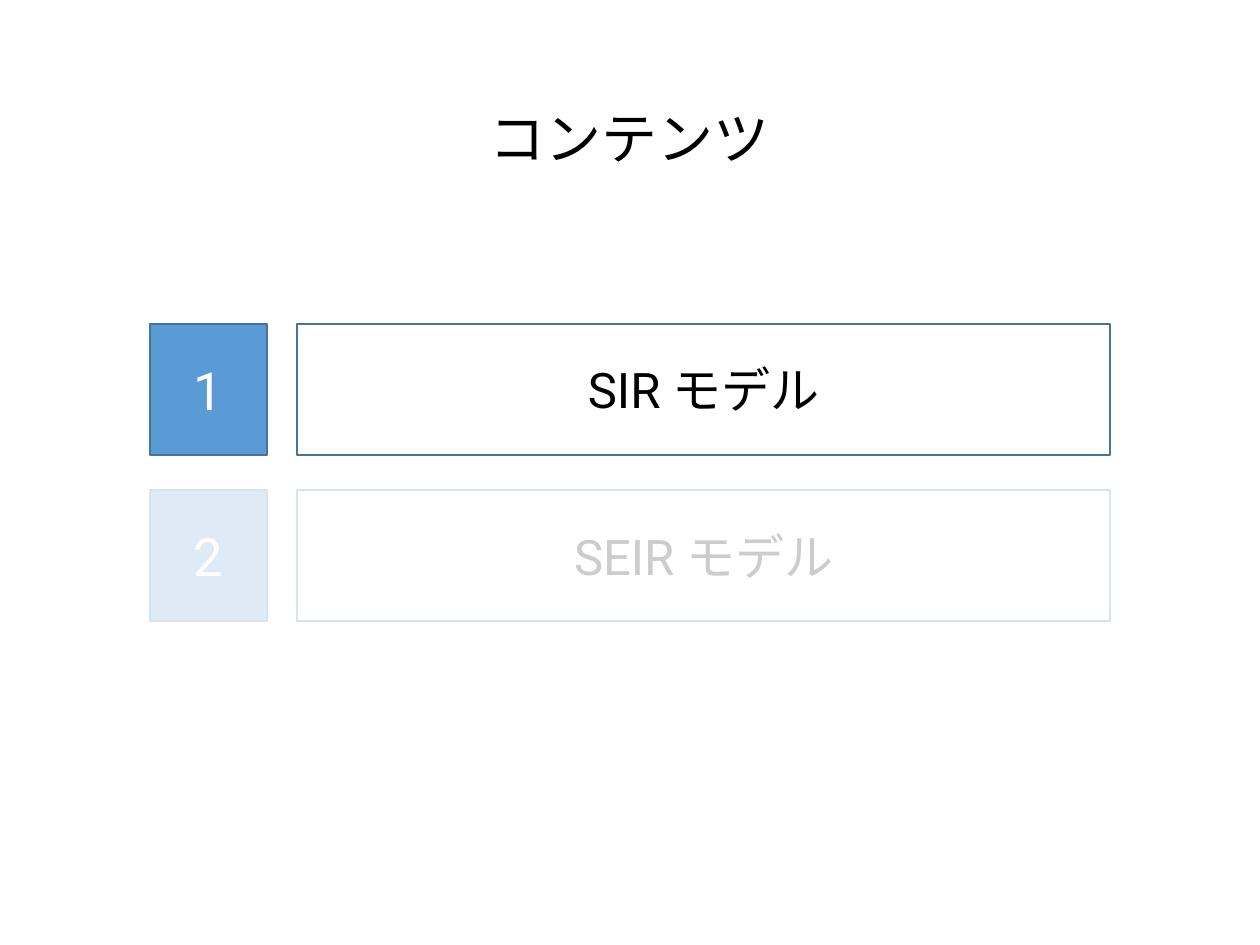
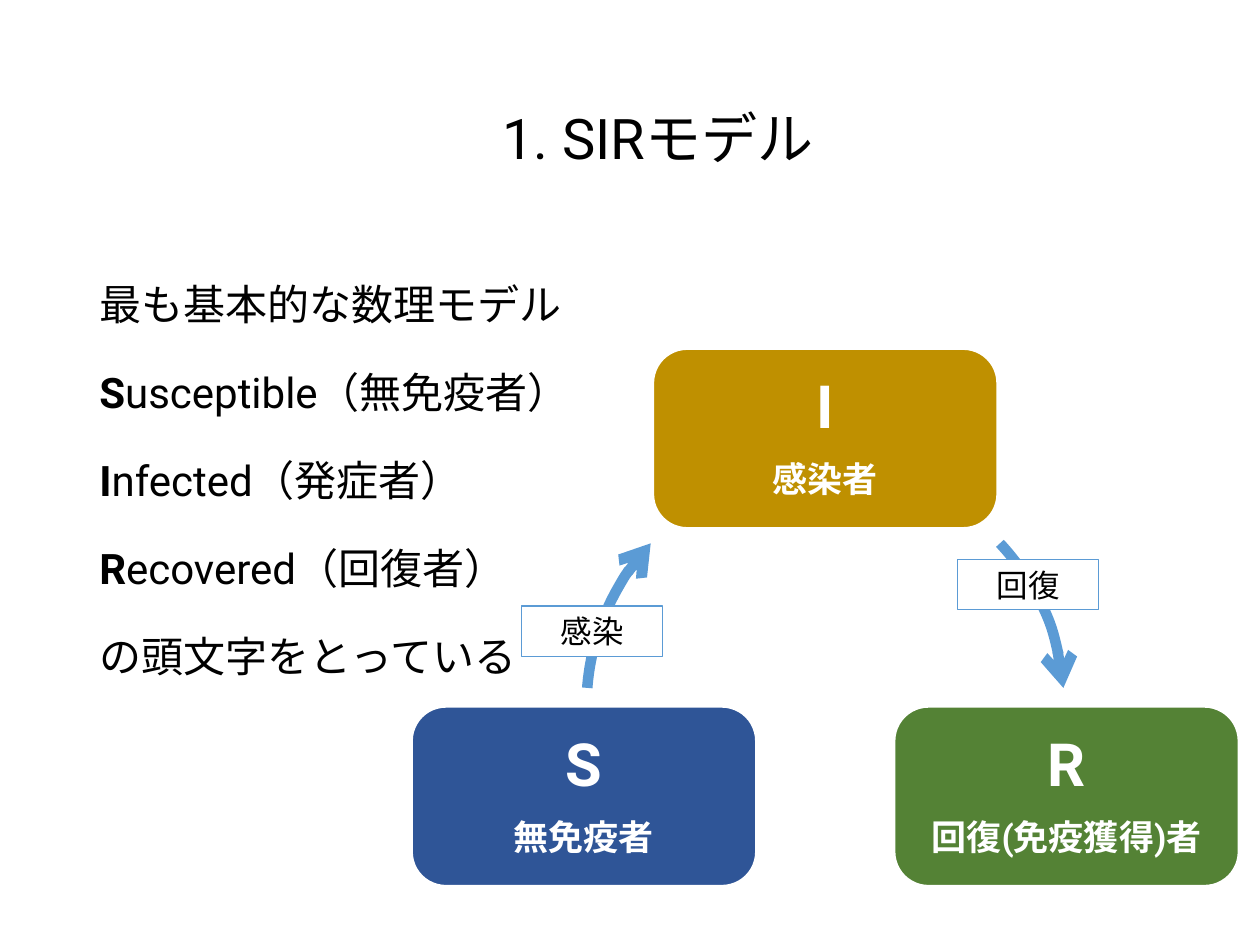
from pptx import Presentation
from pptx.dml.color import RGBColor
from pptx.enum.lang import MSO_LANGUAGE_ID
from pptx.enum.shapes import MSO_SHAPE
from pptx.enum.text import MSO_ANCHOR, PP_ALIGN
from pptx.oxml.ns import qn
from pptx.util import Inches, Pt
from lxml import etree

RECTANGLE, ROUNDED, ARC = MSO_SHAPE.RECTANGLE, MSO_SHAPE.ROUNDED_RECTANGLE, MSO_SHAPE.ARC
MIDDLE, TOP = MSO_ANCHOR.MIDDLE, MSO_ANCHOR.TOP
CENTER, LEFT = PP_ALIGN.CENTER, PP_ALIGN.LEFT
JAPANESE = MSO_LANGUAGE_ID.JAPANESE

FONT = "Roboto"
BLACK, WHITE = "000000", "FFFFFF"
BLUE, BLUE_EDGE = "5B9BD5", "43739E"
NAVY, GOLD, GREEN = "2F5597", "BF9000", "548235"
TITLE_BOX = (0.69, 0.4, 8.62, 1.45)
TITLE_ONLY = 5


def color(hex_string):
    return RGBColor.from_string(hex_string)


def inches(box):
    return [Inches(value) for value in box]


def write(paragraph, text, size=18, font_color=BLACK, bold=False, align=CENTER,
          line_spacing=None, before=None, after=None):
    """Append a run to the paragraph and set the paragraph's format."""
    paragraph.alignment = align
    paragraph.line_spacing = line_spacing
    paragraph.space_before = None if before is None else Pt(before)
    paragraph.space_after = None if after is None else Pt(after)
    run = paragraph.add_run()
    run.text = text
    run.font.name = FONT
    run.font.size = Pt(size)
    run.font.bold = bold
    run.font.color.rgb = color(font_color)
    run.font.language_id = JAPANESE
    east_asian = etree.Element(qn("a:ea"), typeface=FONT)
    run.font._element.find(qn("a:latin")).addnext(east_asian)


def add_shape(slide, kind, box, fill=None, line=BLUE_EDGE, width=1):
    shape = slide.shapes.add_shape(kind, *inches(box))
    shape.shadow.inherit = False
    if fill:
        shape.fill.solid()
        shape.fill.fore_color.rgb = color(fill)
    else:
        shape.fill.background()
    shape.line.color.rgb = color(line)
    shape.line.width = Pt(width)
    shape.text_frame.vertical_anchor = MIDDLE
    return shape


def add_titled_slide(presentation, title):
    slide = presentation.slides.add_slide(presentation.slide_layouts[TITLE_ONLY])
    placeholder = slide.shapes.title
    placeholder.left, placeholder.top, placeholder.width, placeholder.height = inches(TITLE_BOX)
    placeholder.text_frame.vertical_anchor = MIDDLE
    write(placeholder.text_frame.paragraphs[0], title, size=32, line_spacing=0.9)
    return slide


# Contents slide
def add_contents_row(slide, box, number, text):
    left, top, width, height = box
    number_width, gap = 0.93, 0.24
    offset = number_width + gap
    number_box = add_shape(slide, RECTANGLE, (left, top, number_width, height), BLUE)
    write(number_box.text_frame.paragraphs[0], number, size=30, font_color=WHITE)
    label = add_shape(slide, RECTANGLE, (left + offset, top, width - offset, height))
    write(label.text_frame.paragraphs[0], text, size=28)


def add_veil(slide, box, opacity):
    """Fade whatever lies under the box."""
    veil = add_shape(slide, RECTANGLE, box, WHITE, WHITE)
    fill_color = veil.fill._xPr.find(qn("a:solidFill"))[0]
    etree.SubElement(fill_color, qn("a:alpha"), val=str(opacity * 1000))


def build_contents(presentation):
    slide = add_titled_slide(presentation, "コンテンツ")
    for index, text in enumerate(["SIR モデル", "SEIR モデル"]):
        add_contents_row(slide, (1.19, 2.57 + 1.32 * index, 7.62, 1.04), str(index + 1), text)
    add_veil(slide, (1.01, 3.74, 8.03, 1.45), 80)


# Model slide
def add_description(slide, box):
    lines = [("", "最も基本的な数理モデル"), ("S", "usceptible（無免疫者）"),
             ("I", "nfected（発症者）"), ("R", "ecovered（回復者）"),
             ("", "の頭文字をとっている")]
    text_frame = slide.shapes.add_textbox(*inches(box)).text_frame
    text_frame.word_wrap = True
    text_frame.vertical_anchor = TOP
    for index, (initial, rest) in enumerate(lines):
        paragraph = text_frame.add_paragraph() if index else text_frame.paragraphs[0]
        for text, bold in ((initial, True), (rest, False)):
            if text:
                write(paragraph, text, size=24, bold=bold, align=LEFT,
                      line_spacing=1.4, before=10)


def add_state(slide, box, fill, letter, name):
    state = add_shape(slide, ROUNDED, box, fill, WHITE)
    state.adjustments[0] = 0.19
    text_frame = state.text_frame
    text_frame.margin_left = text_frame.margin_right = Inches(0.21)
    text_frame.margin_top = text_frame.margin_bottom = Inches(0.21)
    for paragraph, text, size in ((text_frame.paragraphs[0], letter, 34),
                                  (text_frame.add_paragraph(), name, 20)):
        write(paragraph, text, size=size, font_color=WHITE, bold=True,
              line_spacing=0.9, after=round(size * 0.35))


def add_arc_arrow(slide, box, start, end):
    """Draw a clockwise arrow on the circle in the box, angles in degrees."""
    arc = add_shape(slide, ARC, box, line=BLUE, width=6)
    for index, angle in enumerate((start, end)):
        arc.adjustments[index] = angle * 0.6  # 60000ths of a degree over 100000
    line = arc.line._get_or_add_ln()
    etree.SubElement(line, qn("a:tailEnd"), type="arrow")


def add_transition_label(slide, box, text):
    label = add_shape(slide, RECTANGLE, box, WHITE, BLUE, 0.75)
    write(label.text_frame.paragraphs[0], text)


def add_cycle(slide, box):
    left, top, width, height = box
    state_width, state_height = 2.73, 1.42
    right = left + width - state_width
    bottom = top + height - state_height
    middle = (left + right) / 2
    diameter = 3.79
    circle = (left + (width - diameter) / 2, 3.71, diameter, diameter)
    states = [(middle, top, GOLD, "I", "感染者"),
              (right, bottom, GREEN, "R", "回復(免疫獲得)者"),
              (left, bottom, NAVY, "S", "無免疫者")]
    for state_left, state_top, fill, letter, name in states:
        add_state(slide, (state_left, state_top, state_width, state_height), fill, letter, name)
    for start, end in ((317, 355.6), (184.4, 223)):
        add_arc_arrow(slide, circle, start, end)
    for label_left, label_top, text in ((4.14, 4.81, "感染"), (7.6, 4.44, "回復")):
        add_transition_label(slide, (label_left, label_top, 1.12, 0.4), text)


def build_model(presentation):
    slide = add_titled_slide(presentation, "\u30001. SIRモデル")
    add_description(slide, (0.69, 2, 8.62, 4.76))
    add_cycle(slide, (3.27, 2.77, 6.56, 4.26))


presentation = Presentation()
presentation.slide_width, presentation.slide_height = Inches(10), Inches(7.5)
build_contents(presentation)
build_model(presentation)
presentation.save("out.pptx")
